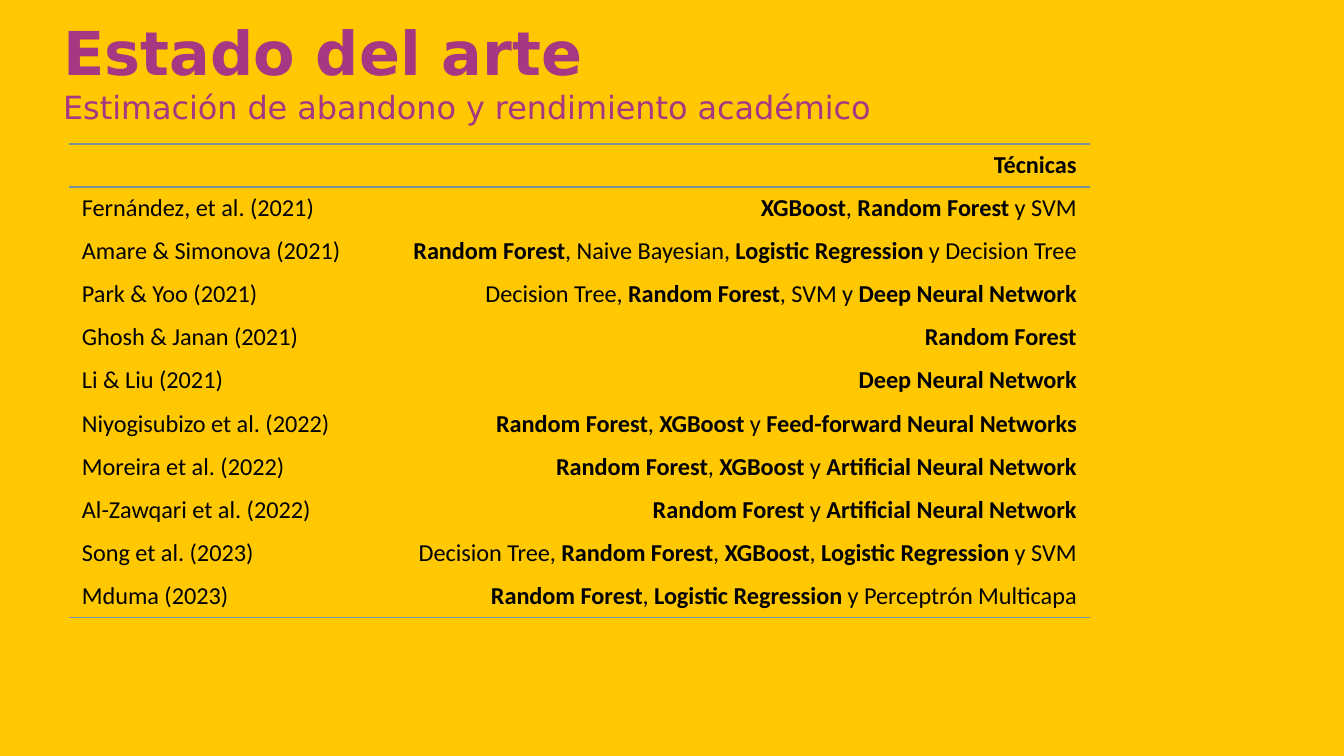
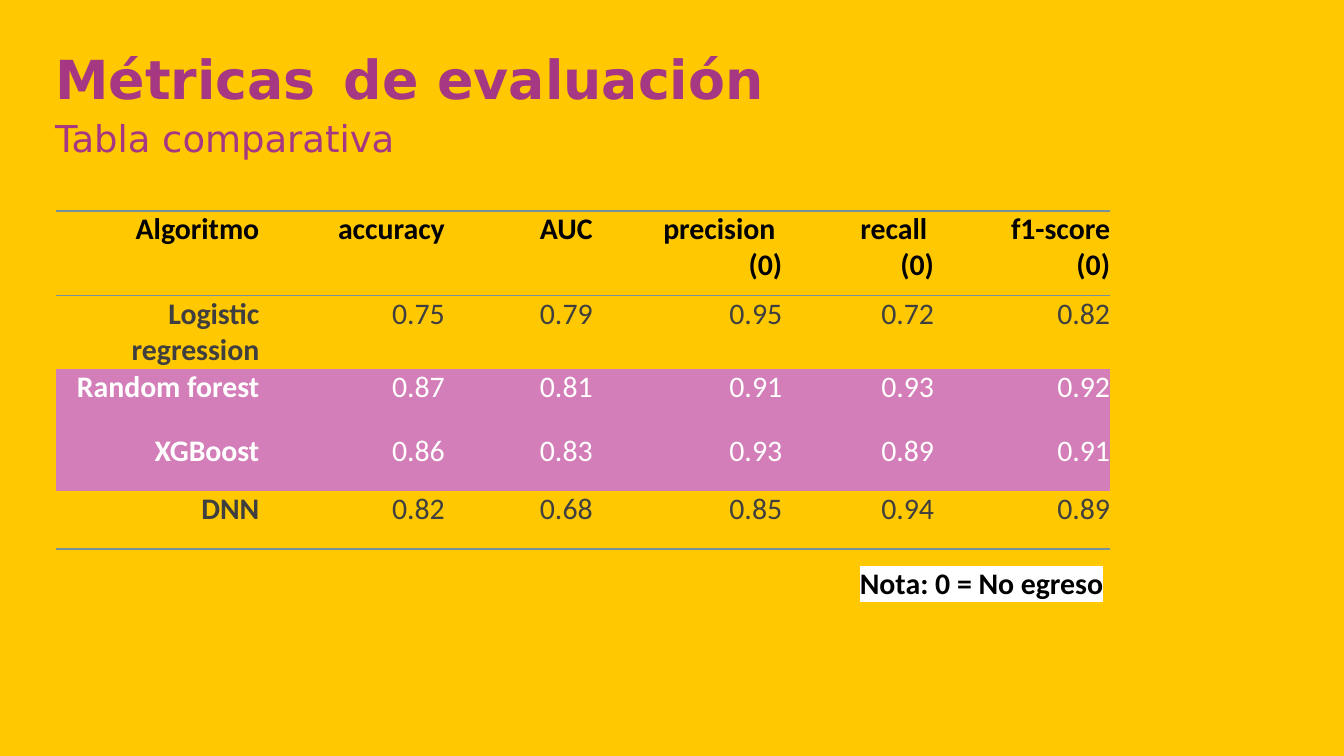
from lxml import etree
from pptx import Presentation
from pptx.dml.color import RGBColor
from pptx.enum.text import MSO_ANCHOR, MSO_AUTO_SIZE, PP_ALIGN
from pptx.oxml.ns import qn
from pptx.util import Inches, Pt

LEFT, RIGHT = PP_ALIGN.LEFT, PP_ALIGN.RIGHT
BOTTOM = MSO_ANCHOR.BOTTOM
NO_AUTOFIT = MSO_AUTO_SIZE.NONE
GROW = MSO_AUTO_SIZE.SHAPE_TO_FIT_TEXT

YELLOW = RGBColor(0xFF, 0xC8, 0x00)
PURPLE = RGBColor(0xA5, 0x37, 0x83)
PINK = RGBColor(0xD4, 0x7E, 0xB9)
SLATE = RGBColor(0x78, 0x90, 0x9C)
GRAY = RGBColor(0x3F, 0x3F, 0x3F)
BLACK = RGBColor(0x00, 0x00, 0x00)
WHITE = RGBColor(0xFF, 0xFF, 0xFF)

TITLE_FONT, BODY_FONT = "DejaVu Sans", "Calibri"
TITLE_SLIDE = 0
PLAIN_TABLE = "{2D5ABB26-0587-4C30-8999-92F81FD0307C}"

# Author and techniques; asterisks enclose the bold parts
STUDIES = [
    ("", "*Técnicas*"),
    ("Fernández, et al. (2021)", "*XGBoost*, *Random Forest *y SVM"),
    ("Amare & Simonova (2021)",
     "*Random Forest*, Naive Bayesian, *Logistic Regression *y Decision Tree"),
    ("Park & Yoo (2021)", "Decision Tree, *Random Forest*, SVM y *Deep Neural Network*"),
    ("Ghosh & Janan (2021)", "*Random Forest*"),
    ("Li & Liu (2021)", "*Deep Neural Network*"),
    ("Niyogisubizo et al. (2022)",
     "*Random Forest*, *XGBoost *y *Feed-forward Neural Networks*"),
    ("Moreira et al. (2022)", "*Random Forest*, *XGBoost* y *Artificial Neural Network*"),
    ("Al-Zawqari et al. (2022)", "*Random Forest *y *Artificial Neural Network*"),
    ("Song et al. (2023)",
     "Decision Tree, *Random Forest*,* XGBoost*, *Logistic Regression *y SVM"),
    ("Mduma (2023)", "*Random Forest*, *Logistic Regression *y Perceptrón Multicapa"),
]

METRICS = [
    ("*Algoritmo*", "*accuracy*", "*AUC*",
     "*precision *\n*(0)*", "*recall *\n*(0)*", "*f1-score*\n*(0)*"),
    ("*Logistic regression*", "0.75", "0.79", "0.95", "0.72", "0.82"),
    ("*Random forest*", "0.87", "0.81", "0.91", "0.93", "0.92"),
    ("*XGBoost*", "0.86", "0.83", "0.93", "0.89", "0.91"),
    ("*DNN*", "0.82", "0.68", "0.85", "0.94", "0.89"),
]
# Text and fill colour of each row of METRICS
METRIC_COLORS = [(BLACK, None), (GRAY, None), (WHITE, PINK), (WHITE, PINK), (GRAY, None)]


class Deck:
    """Holds the shared style and the current slide."""

    def __init__(self):
        self.prs = Presentation()
        self.prs.slide_width = Inches(10)
        self.prs.slide_height = Inches(10) * 9 // 16
        background = self.prs.slide_master.background.fill
        background.solid()
        background.fore_color.rgb = YELLOW
        self.slide = None

    def new_slide(self):
        self.slide = self.prs.slides.add_slide(self.prs.slide_layouts[TITLE_SLIDE])
        unused = self.slide.placeholders[1].element
        unused.getparent().remove(unused)

    def run(self, paragraph, text, size, color, bold=False, font=BODY_FONT):
        run = paragraph.add_run()
        run.text = text
        run.font.name, run.font.size, run.font.bold = font, Pt(size), bold
        run.font.color.rgb = color
        return run

    def frame(self, shape, autofit):
        frame = shape.text_frame
        frame.word_wrap, frame.auto_size = True, autofit
        frame.margin_left = frame.margin_right = Inches(0.1)
        frame.margin_top = frame.margin_bottom = Inches(0.1)
        return frame

    def title(self, box, heading, subtitle, subtitle_size):
        """heading is a list of (text, size) pairs."""
        title = self.slide.shapes.title
        title.left, title.top, title.width, title.height = map(Inches, box)
        frame = self.frame(title, NO_AUTOFIT)
        frame.vertical_anchor = BOTTOM
        paragraph = frame.paragraphs[0]
        paragraph.alignment = LEFT
        for text, size in heading:
            self.run(paragraph, text, size, PURPLE, True, TITLE_FONT)
        # The break takes the size of the subtitle, so the line keeps its height
        paragraph.add_line_break()
        line_break = paragraph._p.find(qn("a:br"))
        etree.SubElement(line_break, qn("a:rPr"), sz=str(round(subtitle_size * 100)))
        self.run(paragraph, subtitle, subtitle_size, PURPLE, False, TITLE_FONT)

    def rule(self, cell, edge):
        line = etree.SubElement(cell._tc.get_or_add_tcPr(), qn("a:" + edge), w=str(Pt(1)))
        fill = etree.SubElement(line, qn("a:solidFill"))
        etree.SubElement(fill, qn("a:srgbClr"), val=str(SLATE))

    def cell(self, cell, text, size, color, align):
        frame = cell.text_frame
        for number, line in enumerate(text.split("\n")):
            paragraph = frame.add_paragraph() if number else frame.paragraphs[0]
            paragraph.alignment = align
            for position, part in enumerate(line.split("*")):
                if part:
                    self.run(paragraph, part, size, color, position % 2 == 1)
            if not line:
                etree.SubElement(paragraph._p, qn("a:endParaRPr"), sz=str(size * 100))

    def table(self, left, top, widths, heights, rows, size, aligns, colors, margin=None):
        frame = self.slide.shapes.add_table(
            len(rows), len(widths), Inches(left), Inches(top),
            Inches(sum(widths)), Inches(sum(heights)))
        table = frame.table
        table.first_row = table.horz_banding = False
        table._tbl.tblPr.find(qn("a:tableStyleId")).text = PLAIN_TABLE
        for column, width in zip(table.columns, widths):
            column.width = Inches(width)
        for r, (values, height, (color, fill)) in enumerate(zip(rows, heights, colors)):
            table.rows[r].height = Inches(height)
            for c, (text, align) in enumerate(zip(values, aligns)):
                cell = table.cell(r, c)
                if margin is not None:
                    cell.margin_left = cell.margin_right = Inches(margin)
                    cell.margin_top = cell.margin_bottom = Inches(margin)
                self.cell(cell, text, size, color, align)
                # Rules above and below the header and under the last row
                if r == 0:
                    self.rule(cell, "lnT")
                if r in (0, len(rows) - 1):
                    self.rule(cell, "lnB")
                if fill is None:
                    cell.fill.background()
                else:
                    cell.fill.solid()
                    cell.fill.fore_color.rgb = fill

    def note(self, box, text, size):
        frame = self.frame(self.slide.shapes.add_textbox(*map(Inches, box)), GROW)
        paragraph = frame.paragraphs[0]
        paragraph.line_spacing = 1.15
        run = self.run(paragraph, text, size, BLACK, True)
        # The highlight must follow the text fill
        highlight = etree.Element(qn("a:highlight"))
        etree.SubElement(highlight, qn("a:srgbClr"), val=str(WHITE))
        run._r.rPr.find(qn("a:solidFill")).addnext(highlight)


def main():
    deck = Deck()

    # State of the art
    deck.new_slide()
    deck.title((0.37, 0.35, 7.47, 0.69), [("Estado del arte", 32.4)],
               "Estimación de abandono y rendimiento académico", 17.1)
    deck.table(0.51, 1.07, [2.26, 5.34], [0.32] * len(STUDIES), STUDIES, 13,
               [LEFT, RIGHT], [(BLACK, None)] * len(STUDIES))

    # Evaluation metrics
    deck.new_slide()
    deck.title((0.31, 0.27, 9.18, 1.02),
               [("Métricas", 28.8), (" ", 43.2), ("de evaluación", 28.8)],
               "Tabla comparativa", 19.8)
    deck.table(0.42, 1.57, [1.51, 1.38, 1.1, 1.41, 1.13, 1.31],
               [0.63, 0.54, 0.48, 0.43, 0.43], METRICS, 16,
               [RIGHT] * 6, METRIC_COLORS, margin=0)
    deck.note((6.3, 4.06, 2.36, 0.51), "Nota: 0 = No egreso", 16)

    deck.prs.save("out.pptx")


if __name__ == "__main__":
    main()
